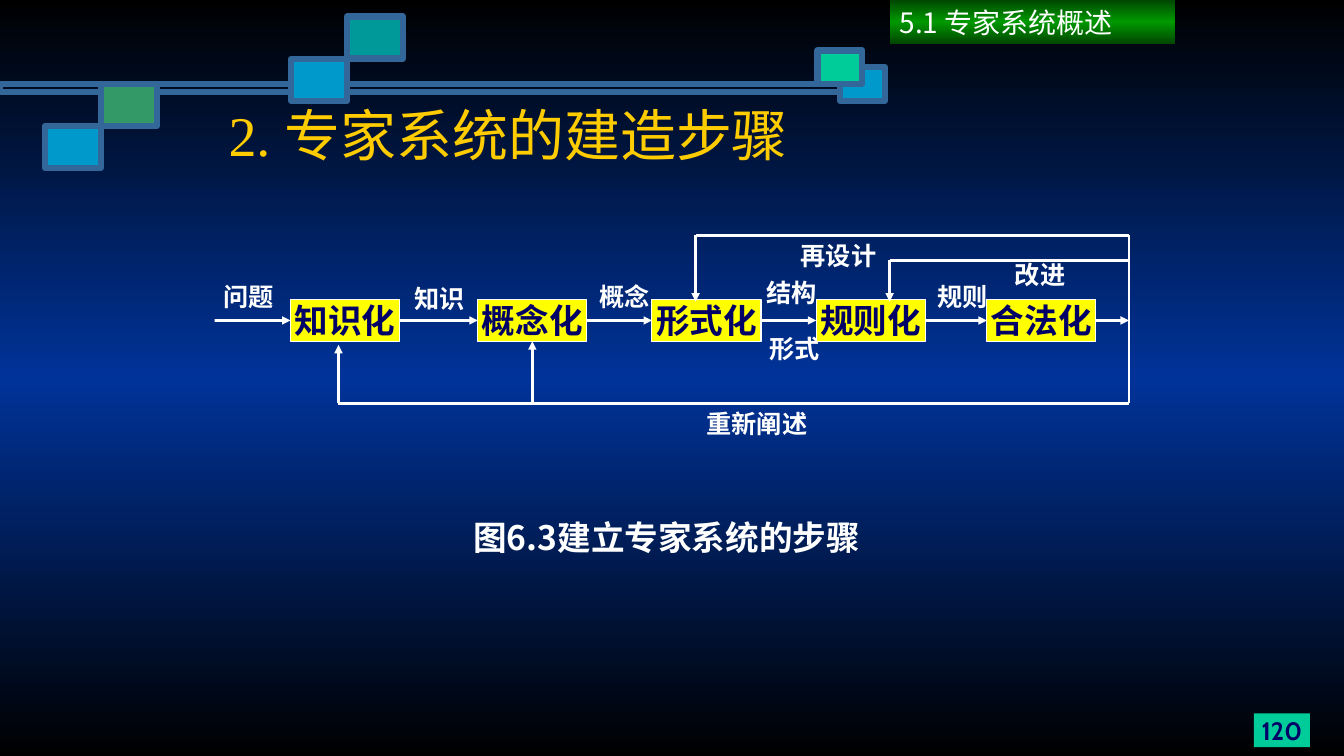
"""Builds the slide on the steps of constructing an expert system."""
from copy import deepcopy

from lxml import etree
from pptx import Presentation
from pptx.dml.color import RGBColor
from pptx.enum.shapes import MSO_CONNECTOR, MSO_SHAPE
from pptx.enum.text import MSO_ANCHOR, PP_ALIGN
from pptx.oxml.ns import qn
from pptx.util import Cm, Pt

RECT, STRAIGHT = MSO_SHAPE.RECTANGLE, MSO_CONNECTOR.STRAIGHT
MIDDLE = MSO_ANCHOR.MIDDLE
LEFT, CENTER = PP_ALIGN.LEFT, PP_ALIGN.CENTER
BLACK = RGBColor(0x00, 0x00, 0x00)
WHITE = RGBColor(0xFF, 0xFF, 0xFF)
BLUE = RGBColor(0x00, 0x33, 0x99)
NAVY = RGBColor(0x00, 0x00, 0x66)
STEEL = RGBColor(0x33, 0x66, 0x99)
SKY = RGBColor(0x00, 0x99, 0xCC)
MINT = RGBColor(0x00, 0xCC, 0x99)
SEA = RGBColor(0x33, 0x99, 0x66)
TEAL = RGBColor(0x00, 0x99, 0x99)
YELLOW = RGBColor(0xFF, 0xFF, 0x00)
GOLD = RGBColor(0xFF, 0xCC, 0x00)
DARK_GREEN = RGBColor(0x00, 0x47, 0x00)
GREEN = RGBColor(0x00, 0x99, 0x00)
TIMES, CJK_SC, CJK_JP = "Times New Roman", "Noto Sans CJK SC", "Noto Sans CJK JP"

TITLE = "2. 专家系统的建造步骤"
HEADER = "5.1 专家系统概述"
CAPTION = "图6.3建立专家系统的步骤"
PAGE = "120"
DECOR = [
    (0, 2.12, 21.73, 0.2, None),
    (21.17, 1.69, 1.13, 0.85, SKY),
    (20.6, 1.27, 1.13, 0.85, MINT),
    (7.34, 1.48, 1.41, 1.06, SKY),
    (1.13, 3.17, 1.41, 1.06, SKY),
    (2.54, 2.12, 1.41, 1.06, SEA),
    (8.75, 0.42, 1.41, 1.06, TEAL),
]
STEPS = [("知识化", 7.32), ("概念化", 12.04), ("形式化", 16.43),
         ("规则化", 20.57), ("合法化", 24.87)]
STEP_TOP, STEP_W, STEP_H = 7.55, 2.75, 1.05
LABELS = [
    ("问题", 5, 6.96, 2.54), ("知识", 9.8, 7.01, 2.54),
    ("概念", 14.48, 6.96, 2.54), ("结构", 18.69, 6.86, 2.54),
    ("形式", 18.75, 8.26, 2.54), ("规则", 22.99, 6.96, 2.54),
    ("再设计", 19.86, 5.92, 2.54), ("改进", 24.94, 6.4, 2.54),
    ("重新阐述", 17.12, 10.16, 3.91),
]
LABEL_H = 1.02
FLOW_Y = STEP_TOP + STEP_H / 2
BUS_X, REDESIGN_Y, REFINE_Y, RESTATE_Y = 28.45, 5.93, 6.56, 10.16
REDESIGN_X, REFINE_X, RESTATE_X = 17.53, 22.42, 8.53
CONCEPT_X = STEPS[1][1] + STEP_W / 2
FEEDBACK = [
    (BUS_X, REDESIGN_Y, BUS_X, RESTATE_Y, False),
    (REFINE_X, REFINE_Y, BUS_X, REFINE_Y, False),
    (REFINE_X, REFINE_Y, REFINE_X, 7.6, True),
    (BUS_X, REDESIGN_Y, REDESIGN_X, REDESIGN_Y, False),
    (REDESIGN_X, REDESIGN_Y, REDESIGN_X, 7.6, True),
    (BUS_X, RESTATE_Y, RESTATE_X, RESTATE_Y, False),
    (RESTATE_X, RESTATE_Y, RESTATE_X, 8.69, True),
]


def set_gradient(fill, element, outer, inner):
    fill.gradient()
    fill.gradient_angle = 90
    stops = element.find(".//" + qn("a:gsLst"))
    stops.insert(1, deepcopy(stops[0]))
    for stop, color, position in zip(fill.gradient_stops, (outer, inner, outer), (0, 0.5, 1)):
        stop.color.rgb = color
        stop.position = position


def add_rect(s, x, y, w, h, fill=None, line=None, width=0.75):
    sp = s.shapes.add_shape(RECT, Cm(x), Cm(y), Cm(w), Cm(h))
    sp.shadow.inherit = False
    if fill is None:
        sp.fill.background()
    else:
        sp.fill.solid()
        sp.fill.fore_color.rgb = fill
    if line is None:
        sp.line.fill.background()
    else:
        sp.line.color.rgb = line
        sp.line.width = Pt(width)
    return sp


def write(sp, text, size, color, font=TIMES, bold=True, align=CENTER, inset=0):
    tf = sp.text_frame
    tf.word_wrap = True
    tf.vertical_anchor = MIDDLE
    tf.margin_left = tf.margin_right = Cm(inset)
    tf.margin_top = tf.margin_bottom = 0
    tf.text = text
    p = tf.paragraphs[0]
    p.alignment = align
    r = p.runs[0]
    r.font.size = Pt(size)
    r.font.bold = bold
    r.font.color.rgb = color
    r.font.name = font
    east_asian = font if font in (CJK_SC, CJK_JP) else CJK_SC
    etree.SubElement(r.font._element, qn("a:ea"), typeface=east_asian)


def add_text(s, x, y, w, h, *args, **kwargs):
    write(s.shapes.add_textbox(Cm(x), Cm(y), Cm(w), Cm(h)), *args, **kwargs)


def add_line(s, x1, y1, x2, y2, arrow):
    c = s.shapes.add_connector(STRAIGHT, Cm(x1), Cm(y1), Cm(x2), Cm(y2))
    c.line.color.rgb = WHITE
    c.line.width = Pt(2)
    properties = c._element.spPr
    if arrow:
        etree.SubElement(properties.find(qn("a:ln")), qn("a:tailEnd"), type="triangle")
    etree.SubElement(properties, qn("a:effectLst"))
    return c


def add_flow(s):
    boxes = []
    for name, x in STEPS:
        sp = add_rect(s, x, STEP_TOP, STEP_W, STEP_H, YELLOW, WHITE)
        write(sp, name, 24, NAVY)
        boxes.append(sp)
    starts = [5.41] + [x + STEP_W for _, x in STEPS]
    ends = [x for _, x in STEPS] + [BUS_X]
    sources, targets = [None] + boxes, boxes + [None]
    for x1, x2, source, target in zip(starts, ends, sources, targets):
        c = add_line(s, x1, FLOW_Y, x2, FLOW_Y, True)
        if source is not None:
            c.begin_connect(source, 3)
        if target is not None:
            c.end_connect(target, 1)
    for line in FEEDBACK:
        add_line(s, *line)
    c = add_line(s, CONCEPT_X, RESTATE_Y, CONCEPT_X, STEP_TOP + STEP_H, True)
    c.end_connect(boxes[1], 2)
    for text, x, y, w in LABELS:
        add_text(s, x, y, w, LABEL_H, text, 18, WHITE)


def main():
    prs = Presentation()
    prs.slide_width, prs.slide_height = Cm(33.87), Cm(19.05)
    s = prs.slides.add_slide(prs.slide_layouts[6])
    set_gradient(s.background.fill, s.element, BLACK, BLUE)
    for x, y, w, h, fill in DECOR:
        add_rect(s, x, y, w, h, fill, STEEL, 4.5)
    write(add_rect(s, 31.6, 17.98, 1.41, 0.85, MINT), PAGE, 18, NAVY, font="Cabin")
    add_flow(s)
    add_text(s, 8.89, 12.9, 15.82, 1.27, CAPTION, 24, WHITE, font=CJK_JP)
    add_text(s, 5.51, 2.12, 19.69, 2.54, TITLE, 40, GOLD, bold=False, align=LEFT, inset=0.25)
    header = add_rect(s, 22.42, 0, 7.2, 1.1)
    set_gradient(header.fill, header.element, DARK_GREEN, GREEN)
    write(header, HEADER, 20, WHITE, font=CJK_SC, bold=False, align=LEFT, inset=0.25)
    prs.save("out.pptx")


if __name__ == "__main__":
    main()
